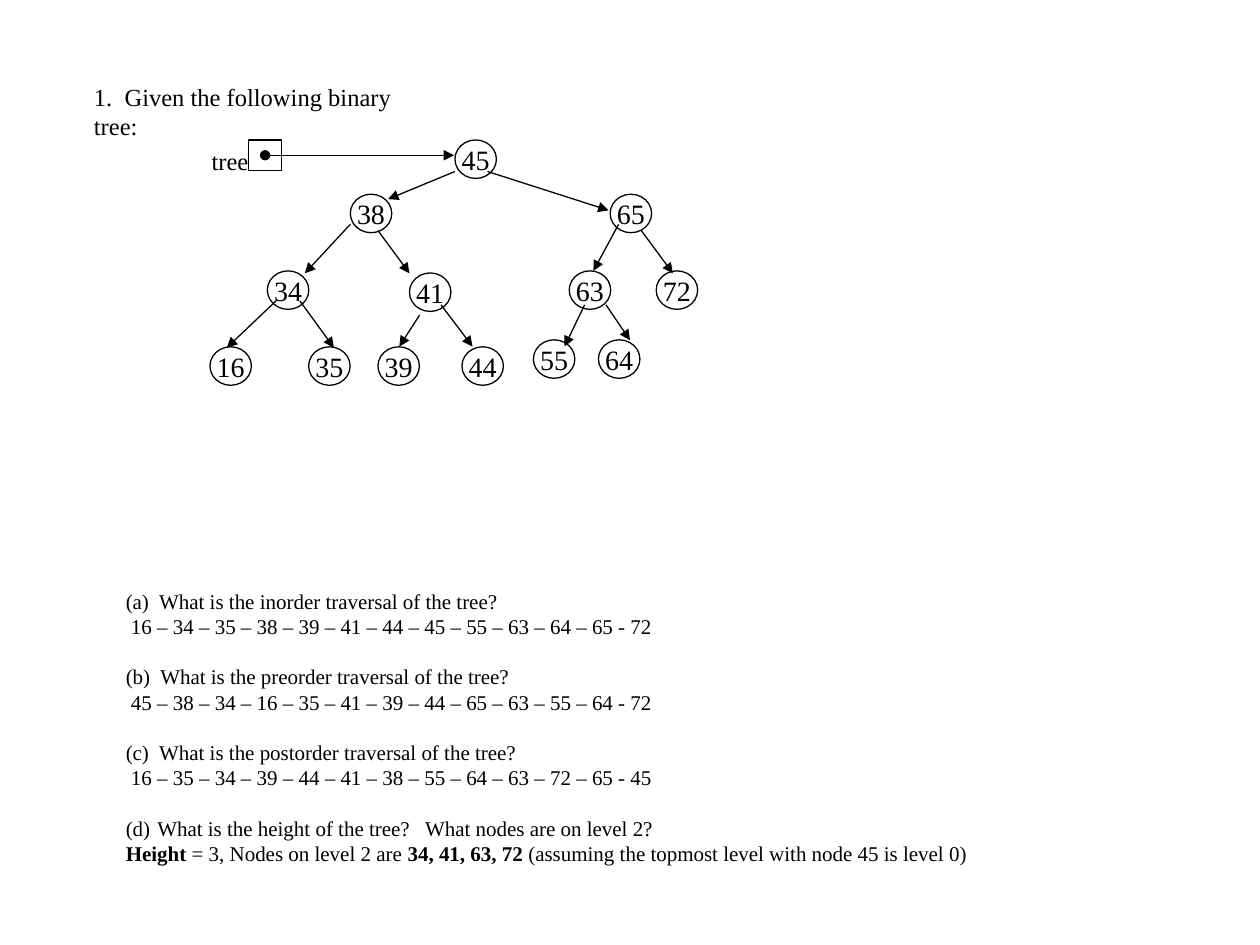
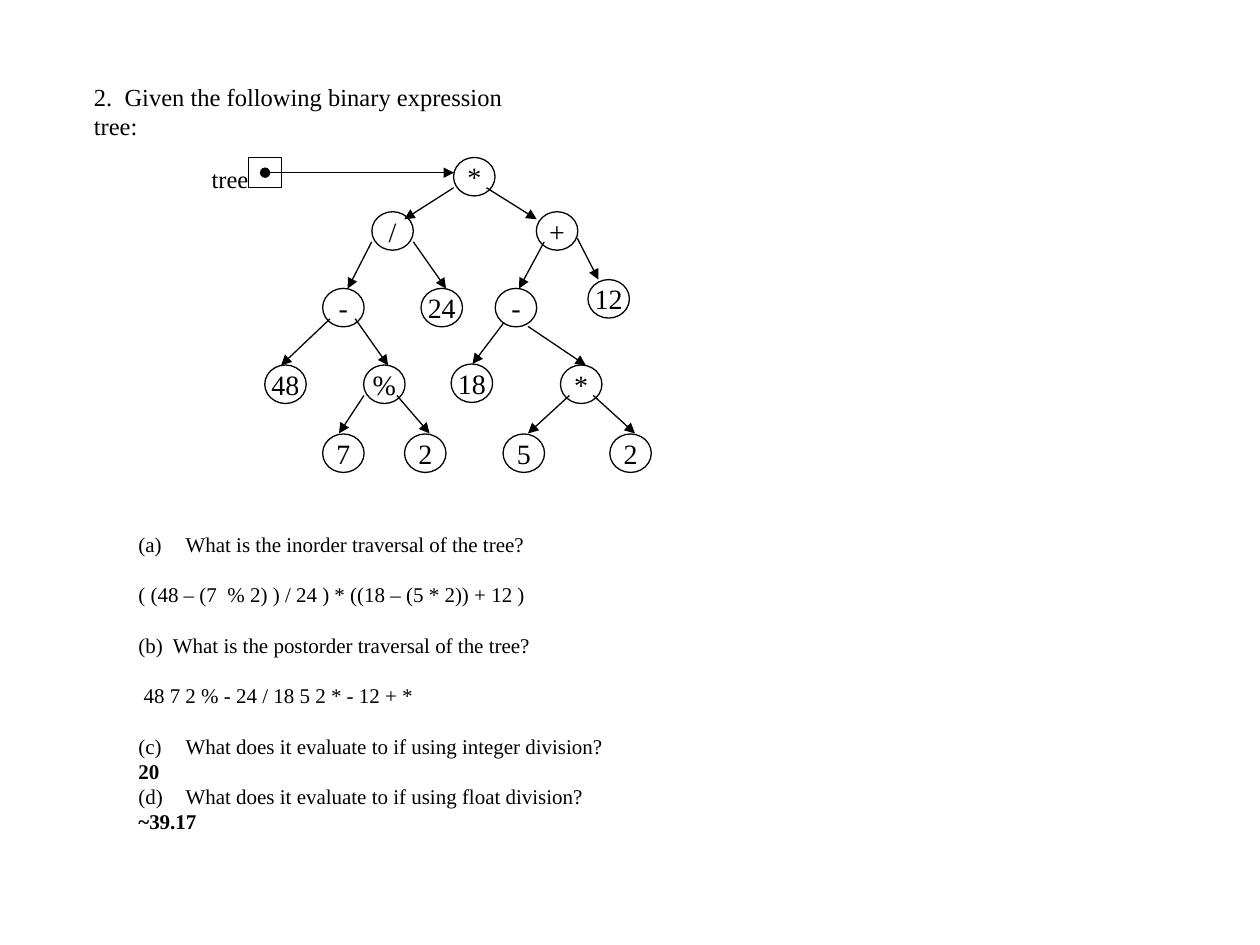
"""Build two slides of binary tree exercises with their traversal answers."""
import pptx
import pptx.dml.color
import pptx.enum.shapes
import pptx.enum.text
import pptx.oxml.ns
import pptx.util
from lxml import etree

Pt = pptx.util.Pt
SHAPES = pptx.enum.shapes.MSO_SHAPE
ALIGN = pptx.enum.text.PP_ALIGN
ANCHOR = pptx.enum.text.MSO_ANCHOR


def color(value):
    return pptx.dml.color.RGBColor.from_string(value)


def add_element(parent, tag, **attributes):
    return etree.SubElement(parent, pptx.oxml.ns.qn(tag), attributes)


class TreeDeck:
    font = "Times New Roman"
    ink = "000000"
    line_width = 0.75
    title_size, node_size, answer_size = 14, 16, 12
    node_width, node_height = 23.7, 22
    line_gap = 14.4

    def __init__(self):
        self.presentation = pptx.Presentation()
        self.presentation.slide_width = Pt(720)
        self.presentation.slide_height = Pt(540)
        self.slide = None

    def new_slide(self):
        self.slide = self.presentation.slides.add_slide(self.presentation.slide_layouts[6])

    def style_runs(self, paragraph, size):
        for run in paragraph.runs:
            run.font.name = self.font
            run.font.size = Pt(size)
            run.font.color.rgb = color(self.ink)

    def textbox(self, left, top, width, height, wrap=True):
        box = self.slide.shapes.add_textbox(Pt(left), Pt(top), Pt(width), Pt(height))
        box.text_frame.word_wrap = wrap
        return box.text_frame

    def label(self, text, left, top, width, wrap=True):
        frame = self.textbox(left, top, width, 24, wrap)
        frame.text = text
        self.style_runs(frame.paragraphs[0], self.title_size)

    def title(self, text, width):
        self.label(text, 46.6, 43.2, width)

    def outline(self, kind, left, top, width, height):
        shape = self.slide.shapes.add_shape(kind, Pt(left), Pt(top), Pt(width), Pt(height))
        shape.shadow.inherit = False
        shape.fill.background()
        shape.line.color.rgb = color(self.ink)
        shape.line.width = Pt(self.line_width)
        return shape

    def node(self, text, left, top):
        shape = self.outline(SHAPES.OVAL, left, top, self.node_width, self.node_height)
        frame = shape.text_frame
        frame.word_wrap = False
        frame.vertical_anchor = ANCHOR.MIDDLE
        frame.margin_left = frame.margin_right = frame.margin_top = frame.margin_bottom = 0
        frame.text = text
        frame.paragraphs[0].alignment = ALIGN.CENTER
        self.style_runs(frame.paragraphs[0], self.node_size)

    def arrow(self, x1, y1, x2, y2, dot=False):
        connector = self.slide.shapes.add_connector(
            pptx.enum.shapes.MSO_CONNECTOR.STRAIGHT, Pt(x1), Pt(y1), Pt(x2), Pt(y2))
        connector.line.color.rgb = color(self.ink)
        connector.line.width = Pt(self.line_width)
        line = connector.line._get_or_add_ln()
        if dot:
            add_element(line, "a:headEnd", type="oval")
        add_element(line, "a:tailEnd", type="triangle")
        add_element(connector._element.spPr, "a:effectLst")

    def root_pointer(self, top):
        self.outline(SHAPES.RECTANGLE, 142.2, top, 18.7, 17.3)
        self.label("tree", 113.8, top, 35.3, wrap=False)
        self.arrow(151.5, top + 8.7, 259.5, top + 8.7, dot=True)

    def tree(self, rows, edges):
        for top, nodes in rows:
            for text, left in nodes:
                self.node(text, left, top)
        for edge in edges:
            self.arrow(*edge)

    def answers(self, left, top, width, height, lines):
        """Write (text, gap after, number, indent) lines, with bold between bars."""
        frame = self.textbox(left, top, width, height)
        for index, (text, gap, number, indent) in enumerate(lines):
            paragraph = frame.add_paragraph() if index else frame.paragraphs[0]
            for position, part in enumerate(text.split("|")):
                if part:
                    run = paragraph.add_run()
                    run.text = part
                    run.font.bold = position % 2 == 1
            self.style_runs(paragraph, self.answer_size)
            paragraph.space_after = Pt(self.line_gap if gap else 0)
            if number:
                properties = paragraph._p.get_or_add_pPr()
                properties.set("marL", str(Pt(indent)))
                properties.set("indent", str(-Pt(indent)))
                add_element(properties, "a:buAutoNum", type="alphaLcParenBoth",
                            startAt=str(number))


deck = TreeDeck()

deck.new_slide()
deck.title("1.  Given the following binary tree:", 212.4)
deck.root_pointer(80)
deck.tree(
    [(80, [("45", 260)]),
     (111, [("38", 200.2), ("65", 348.7)]),
     (154.8, [("34", 152.8), ("63", 325.3), ("72", 375)]),
     (156, [("41", 234)]),
     (194.2, [("55", 304.8), ("64", 342)]),
     (198.2, [("16", 120), ("35", 176.4), ("39", 216), ("44", 264)])],
    [(260, 98, 221.8, 113.8), (278.6, 98, 347.8, 120.2),
     (200.2, 128.2, 174.2, 156.2), (216, 131.8, 234, 156.2),
     (353.5, 128.2, 339.1, 154.8), (366.5, 131.8, 384.5, 156.2),
     (157.7, 172, 129.6, 198.7), (171.4, 172, 190.8, 198.7),
     (239.8, 180, 228.2, 198), (252, 174.2, 270, 198),
     (334.1, 174.2, 322.6, 198), (346.3, 174.2, 360, 194.4)])
deck.answers(64.8, 332.6, 640, 167, [
    ("(a)  What is the inorder traversal of the tree?", False, 0, 0),
    (" 16 – 34 – 35 – 38 – 39 – 41 – 44 – 45 – 55 – 63 – 64 – 65 - 72", True, 0, 0),
    ("(b)  What is the preorder traversal of the tree?", False, 0, 0),
    (" 45 – 38 – 34 – 16 – 35 – 41 – 39 – 44 – 65 – 63 – 55 – 64 - 72", True, 0, 0),
    ("(c)  What is the postorder traversal of the tree?", False, 0, 0),
    (" 16 – 35 – 34 – 39 – 44 – 41 – 38 – 55 – 64 – 63 – 72 – 65 - 45", True, 0, 0),
    ("What is the height of the tree?   What nodes are on level 2?", False, 4, 18),
    ("|Height| = 3, Nodes on level 2 are |34, 41, 63, 72| "
     "(assuming the topmost level with node 45 is level 0)", False, 0, 0)])

deck.new_slide()
deck.title("2.  Given the following binary expression tree:", 275.8)
deck.root_pointer(90)
deck.tree(
    [(90, [("*", 259.2)]),
     (121, [("/", 212.5), ("+", 306.5)]),
     (159.8, [("12", 336)]),
     (164.8, [("-", 184.4), ("24", 240.6), ("-", 283)]),
     (208, [("18", 257.8)]),
     (208.6, [("48", 151.3), ("%", 207.8), ("*", 320.3)]),
     (248, [("7", 184.4), ("2", 231.2), ("5", 287.5), ("2", 348.5)])],
    [(259.2, 107.3, 231, 125.3), (278, 107.3, 306.7, 125.3),
     (212.4, 138.2, 198.7, 164.9), (236.2, 138.2, 254.9, 164.9),
     (311, 138.2, 296.6, 164.9), (329.8, 136, 342, 159.8),
     (188.6, 182.2, 160.6, 208.8), (203, 182.2, 221.8, 208.8),
     (288, 184.3, 270, 208), (301.7, 186.5, 334.8, 208.8),
     (208, 226, 193.7, 247.7), (226.8, 226, 245.5, 247.7),
     (325.4, 226, 301.7, 247.7), (339, 226, 362.9, 247.7)])
deck.answers(72, 300.2, 283.7, 196.6, [
    ("What is the inorder traversal of the tree?", True, 1, 27),
    ("( (48 – (7  % 2) ) / 24 ) * ((18 – (5 * 2)) + 12 )", True, 0, 0),
    ("(b)  What is the postorder traversal of the tree?", True, 0, 0),
    (" 48 7 2 % - 24 / 18 5 2 * - 12 + *", True, 0, 0),
    ("What does it evaluate to if using integer division?", False, 3, 27),
    ("|20|", False, 0, 0),
    ("What does it evaluate to if using float division?", False, 4, 27),
    ("|~39.17|", False, 0, 0)])

deck.presentation.save("out.pptx")
